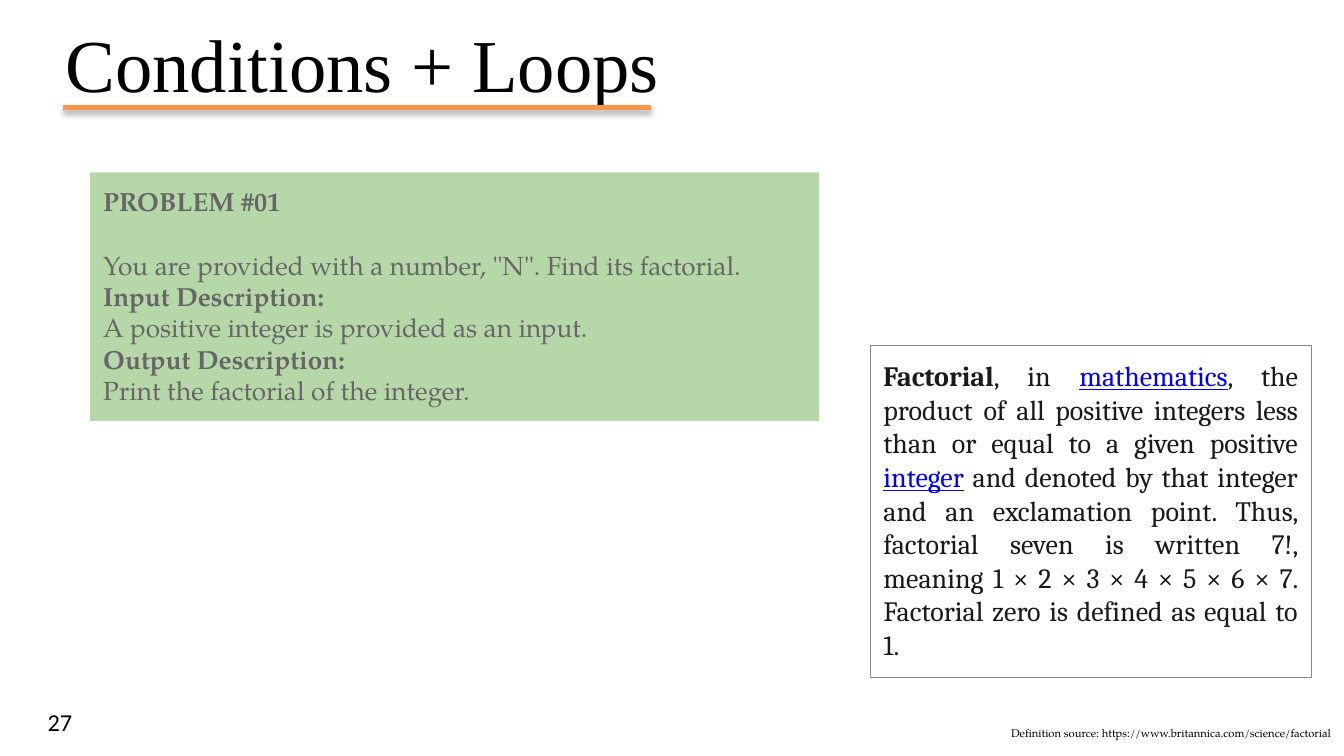
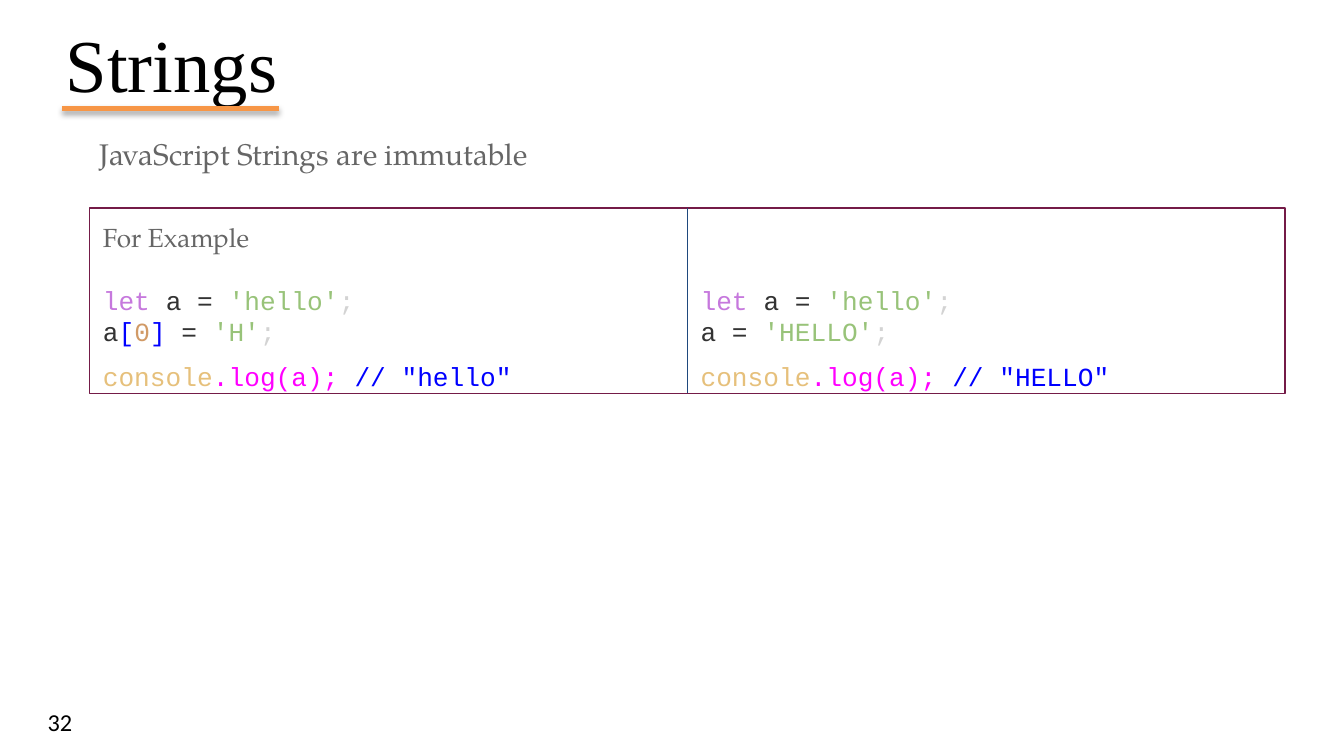
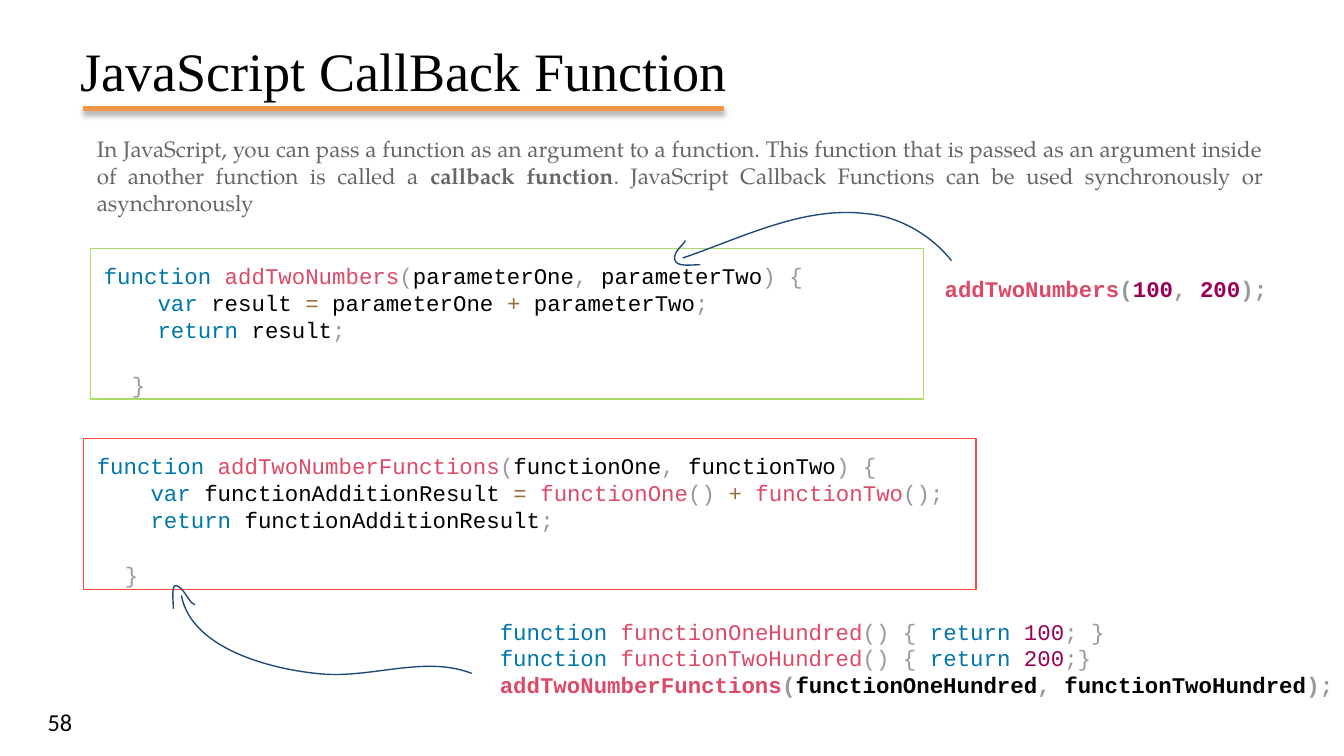
from dataclasses import dataclass
from lxml import etree
from pptx import Presentation
from pptx.dml.color import RGBColor
from pptx.enum.shapes import MSO_CONNECTOR, MSO_SHAPE
from pptx.enum.text import MSO_ANCHOR, PP_ALIGN
from pptx.oxml.ns import qn
from pptx.util import Inches, Pt

LEFT, RIGHT, JUSTIFY = PP_ALIGN.LEFT, PP_ALIGN.RIGHT, PP_ALIGN.JUSTIFY
TOP, MIDDLE = MSO_ANCHOR.TOP, MSO_ANCHOR.MIDDLE
STRAIGHT, RECTANGLE = MSO_CONNECTOR.STRAIGHT, MSO_SHAPE.RECTANGLE

WIDTH, HEIGHT = Inches(10), Inches(5.625)
COLUMN, ROW = WIDTH / 100, HEIGHT / 100

COLORS = {
    "black": "000000", "body": "666666", "ink": "1A1A1A", "link": "0000FF",
    "accent": "F79646", "navy": "1F497D", "problem": "B6D7A8", "frame": "888888",
    "plum": "741B47", "lime": "ADDB67", "red": "FB4934",
    "let": "C678DD", "plain": "333333", "string": "98C379", "faint": "D3D3D3",
    "digit": "D19A66", "object": "E6C07B", "call": "FF00FF",
    "keyword": "0077AA", "function": "DD4A68", "mark": "999999",
    "operator": "9A6E3A", "number": "990055",
}
SERIF, CODE = "TeX Gyre Pagella", "Courier New"
TITLE_FONT, NUMBER_FONT, QUOTE_FONT = "Times New Roman", "Calibri", "Cambria"


@dataclass
class Span:
    text: str
    color: str = "body"
    bold: bool = False
    underline: bool = False


@dataclass
class Para:
    spans: list
    font: str = SERIF
    size: float = 12
    align: PP_ALIGN = LEFT
    spacing: float = 1
    before: float = 0
    after: float = 0
    indent: float = 0


def color(name):
    return RGBColor.from_string(COLORS[name])


def place(column, row):
    return round(column * COLUMN), round(row * ROW)


def write(box, paras, anchor=TOP, inset=0.1):
    frame = box.text_frame
    frame.word_wrap = True
    frame.vertical_anchor = anchor
    frame.margin_left = frame.margin_right = Inches(0.1)
    frame.margin_top = frame.margin_bottom = Inches(inset)
    for index, item in enumerate(paras):
        para = frame.add_paragraph() if index else frame.paragraphs[0]
        para.alignment = item.align
        para.line_spacing = item.spacing
        para.space_before, para.space_after = Pt(item.before), Pt(item.after)
        if item.indent:
            para._p.get_or_add_pPr().set("marL", str(Inches(item.indent)))
        for span in item.spans:
            run = para.add_run()
            run.text = span.text
            run.font.name, run.font.size = item.font, Pt(item.size)
            run.font.bold, run.font.underline = span.bold, span.underline
            run.font.color.rgb = color(span.color)


def add_text(page, area, paras, **options):
    box = page.shapes.add_textbox(*place(*area[:2]), *place(*area[2:]))
    write(box, paras, **options)


def add_panel(page, area, paras, fill=None, border=None):
    panel = page.shapes.add_shape(RECTANGLE, *place(*area[:2]), *place(*area[2:]))
    panel.shadow.inherit = False
    if fill:
        panel.fill.solid()
        panel.fill.fore_color.rgb = color(fill)
    else:
        panel.fill.background()
    if border:
        stroke(panel, border)
    else:
        panel.line.fill.background()
    write(panel, paras)


def stroke(shape, name, weight=0.75):
    shape.line.color.rgb = color(name)
    shape.line.width = Pt(weight)


def add_line(page, start, end, name, weight=0.75):
    line = page.shapes.add_connector(STRAIGHT, *place(*start), *place(*end))
    stroke(line, name, weight)
    return etree.SubElement(line._element.spPr, qn("a:effectLst"))


def add_underline(page, left, right, row):
    effects = add_line(page, (left, row), (right, row), "accent", 3)
    shadow = etree.SubElement(effects, qn("a:outerShdw"), blurRad=str(Pt(3.1)),
                              dist=str(Pt(1.8)), dir="5400000", rotWithShape="0")
    shade = etree.SubElement(shadow, qn("a:srgbClr"), val=COLORS["black"])
    etree.SubElement(shade, qn("a:alpha"), val="35000")


def add_curve(page, points):
    spots = [place(*point) for point in points]
    builder = page.shapes.build_freeform(*spots[0], scale=1.0)
    builder.add_line_segments(spots[3::3], close=False)
    curve = builder.convert_to_shape()
    segments = list(curve._element.iter(qn("a:lnTo")))
    for index, segment in enumerate(segments):
        bend = etree.Element(qn("a:cubicBezTo"))
        for x, y in spots[3 * index + 1:3 * index + 4]:
            etree.SubElement(bend, qn("a:pt"), x=str(x - curve.left), y=str(y - curve.top))
        segment.getparent().replace(segment, bend)
    curve.shadow.inherit = False
    curve.fill.background()
    stroke(curve, "navy")


def add_page(deck, title, number, rule, area=(3.9, 0, 90, 16.6), size=40, anchor=MIDDLE):
    page = deck.slides.add_slide(deck.slide_layouts[6])
    heading = Para([Span(title, "black")], TITLE_FONT, size)
    add_text(page, area, [heading], anchor=anchor, inset=0.05)
    add_underline(page, *rule)
    label = Para([Span(number, "black")], NUMBER_FONT, 13, RIGHT)
    add_text(page, (0.35, 91.8, 6, 7.64), [label])
    return page


def code(*pairs, bold=False, **options):
    return Para([Span(text, name, bold) for text, name in pairs], CODE, **options)


def string_code(change, result, before=0):
    return [
        code(("let ", "let"), ("a = ", "plain"), ("'hello'", "string"), (";", "faint"),
             size=14, before=before),
        code(*change, (";", "faint"), size=14),
        code(("console", "object"), (".log(a); ", "call"), (f'// "{result}"', "link"),
             size=14, spacing=1.43, after=12),
    ]


def function_code(name, first, second, result, value):
    return [
        code(("function ", "keyword"), (name, "function"), ("(", "mark"), (first, "black"),
             (",", "mark"), (f" {second}", "black"), (") {", "mark")),
        code(("    ", "black"), ("var", "keyword"), (f" {result} ", "black"), *value),
        code(("    ", "black"), ("return", "keyword"), (f" {result}", "black"), (";", "mark")),
        code(("}", "mark"), spacing=1.5, before=8, after=8, indent=0.21),
    ]


def constant_code(name, value, ending):
    return code(("function ", "keyword"), (name, "function"), ("() { ", "mark"),
                ("return ", "keyword"), (value, "number"), (ending, "mark"))


def build_loops(deck):
    page = add_page(deck, "Conditions + Loops", "27", (4.7, 48.45, 14.22))
    source = "Definition source: https://www.britannica.com/science/factorial"
    add_text(page, (27.6, 95.11, 72.4, 4.89),
             [Para([Span(source, "black")], size=6, align=RIGHT)])
    problem = [
        ("PROBLEM #01", True, 0),
        ('You are provided with a number, "N". Find its factorial.', False, 17),
        ("Input Description:", True, 0),
        ("A positive integer is provided as an input.", False, 0),
        ("Output Description:", True, 0),
        ("Print the factorial of the integer.", False, 0),
    ]
    add_panel(page, (6.7, 22.8, 54.25, 32.89),
              [Para([Span(text, bold=bold)], size=14, before=gap)
               for text, bold, gap in problem], fill="problem")
    definition = [
        Span("Factorial", "ink", bold=True),
        Span(", in ", "ink"),
        Span("mathematics", "link", underline=True),
        Span(", the product of all positive integers less than or equal to "
             "a given positive ", "ink"),
        Span("integer", "link", underline=True),
        Span(" and denoted by that integer and an exclamation point. Thus, factorial "
             "seven is written 7!, meaning 1 × 2 × 3 × 4 × 5 × 6 × 7. "
             "Factorial zero is defined as equal to 1.", "ink"),
    ]
    add_panel(page, (64.75, 45.69, 32.82, 43.91),
              [Para(definition, QUOTE_FONT, 15, JUSTIFY)], border="frame")


def build_strings(deck):
    page = add_page(deck, "Strings", "32", (4.6, 20.75, 14.35))
    add_text(page, (6.4, 16.18, 64.5, 8.36),
             [Para([Span("JavaScript Strings are immutable")], size=16)])
    letter = [("a", "plain"), ("[", "link"), ("0", "digit"), ("] ", "link"),
              ("= ", "plain"), ("'H'", "string")]
    word = [("a = ", "plain"), ("'HELLO'", "string")]
    add_panel(page, (6.67, 27.5, 88.95, 24.55),
              [Para([Span("For Example")], size=14),
               *string_code(letter, "hello", before=16.8)], border="plum")
    add_line(page, (51.15, 27.5), (51.15, 52.05), "navy")
    add_text(page, (51.15, 35.8, 44, 16.18), string_code(word, "HELLO"))


def build_callback(deck):
    page = add_page(deck, "JavaScript CallBack Function", "58", (6.2, 53.85, 14.35),
                    (5, 4.09, 90, 10.84), 29, TOP)
    intro = [
        Span("In JavaScript, you can pass a function as an argument to a function. "
             "This function that is passed as an argument inside of another function "
             "is called a "),
        Span("callback function", bold=True),
        Span(". JavaScript Callback Functions can be used synchronously or asynchronously"),
    ]
    add_text(page, (6.22, 16.1, 88.8, 17.96), [Para(intro, align=JUSTIFY)])
    numbers = [("=", "operator"), (" parameterOne ", "black"), ("+", "operator"),
               (" parameterTwo", "black"), (";", "mark")]
    add_panel(page, (6.74, 32.89, 61.96, 19.91),
              function_code("addTwoNumbers", "parameterOne", "parameterTwo",
                            "result", numbers), border="lime")
    add_text(page, (67.2, 32.89, 32.8, 7.11), [
        code(("addTwoNumbers", "function"), ("(", "mark"), ("100", "number"),
             (", ", "mark"), ("200", "number"), (");", "mark"),
             bold=True, spacing=1.5, after=8, indent=0.21)])
    calls = [("= ", "operator"), ("functionOne", "function"), ("() ", "mark"),
             ("+ ", "operator"), ("functionTwo", "function"), ("();", "mark")]
    add_panel(page, (6.22, 58.05, 66.4, 19.95),
              function_code("addTwoNumberFunctions", "functionOne", "functionTwo",
                            "functionAdditionResult", calls), border="red")
    add_text(page, (36.2, 79.92, 64.5, 14.4), [
        constant_code("functionOneHundred", "100", "; }"),
        constant_code("functionTwoHundred", "200", ";}"),
        code(("addTwoNumberFunctions", "function"), ("(", "mark"),
             ("functionOneHundred", "black"), (",", "mark"),
             (" functionTwoHundred", "black"), (");", "mark"), bold=True)])
    lower_arrow = [(35.1, 89.07), (31.5, 86.58), (27.4, 89.96), (23.5, 89.07),
                   (19.7, 88.36), (14.2, 85.51), (13.5, 78.76)]
    lower_head = [(12.9, 80.53), (12.9, 79.47), (12.7, 76.98), (13.2, 77.51),
                  (13.8, 78.04), (14, 79.64), (14.5, 80)]
    upper_arrow = [(70.8, 34.49), (69.3, 31.11), (66.9, 28.62), (64.5, 28.27),
                   (59.8, 27.2), (55.2, 31.47), (50.8, 34.13)]
    upper_head = [(51, 31.82), (50.8, 32.53), (50.1, 33.24), (50.2, 34.31),
                  (50.3, 35.38), (51.4, 35.02), (52.1, 35.02)]
    for points in (upper_arrow, lower_arrow, lower_head, upper_head):
        add_curve(page, points)


def main():
    deck = Presentation()
    deck.slide_width, deck.slide_height = WIDTH, HEIGHT
    build_loops(deck)
    build_strings(deck)
    build_callback(deck)
    deck.save("out.pptx")


if __name__ == "__main__":
    main()
